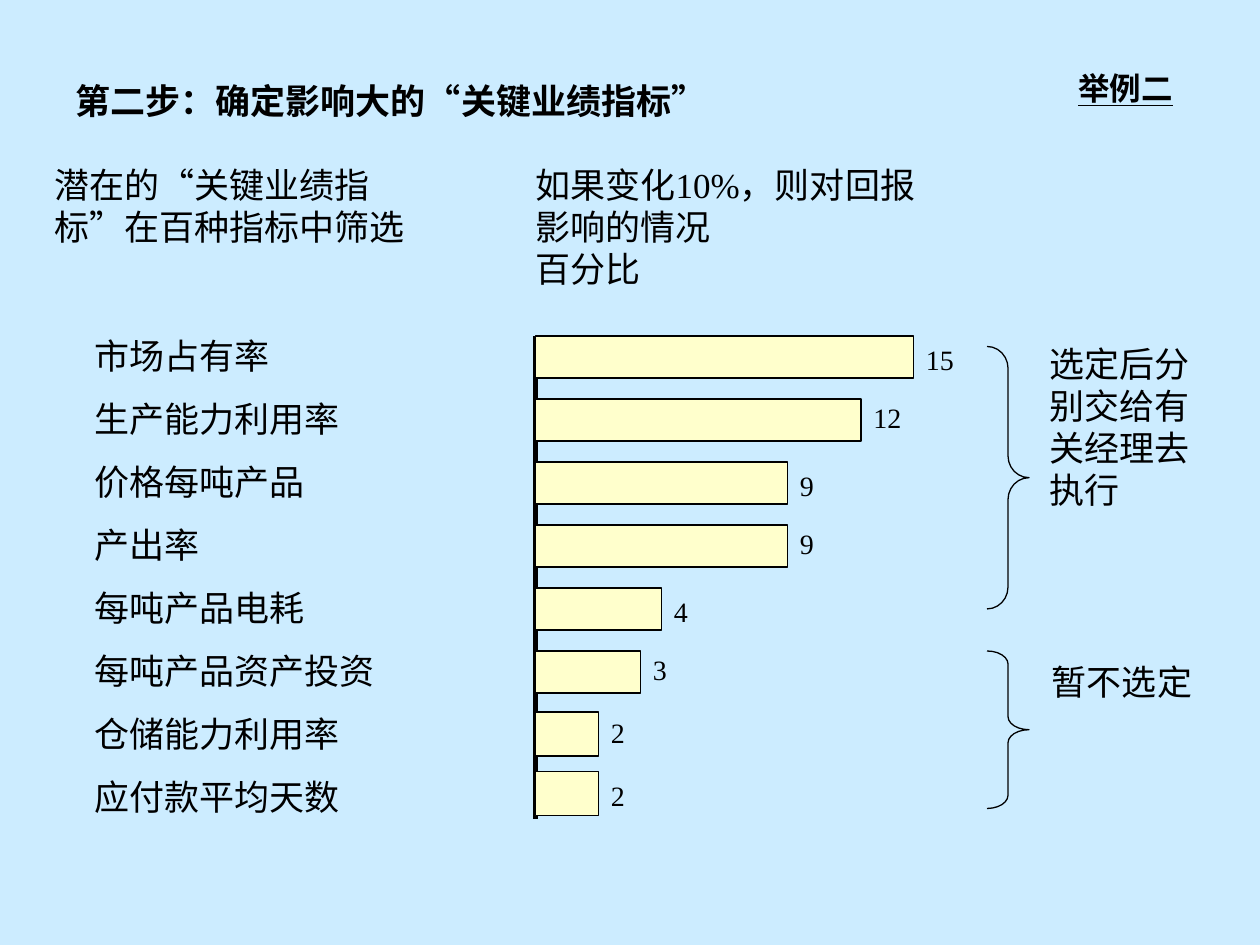
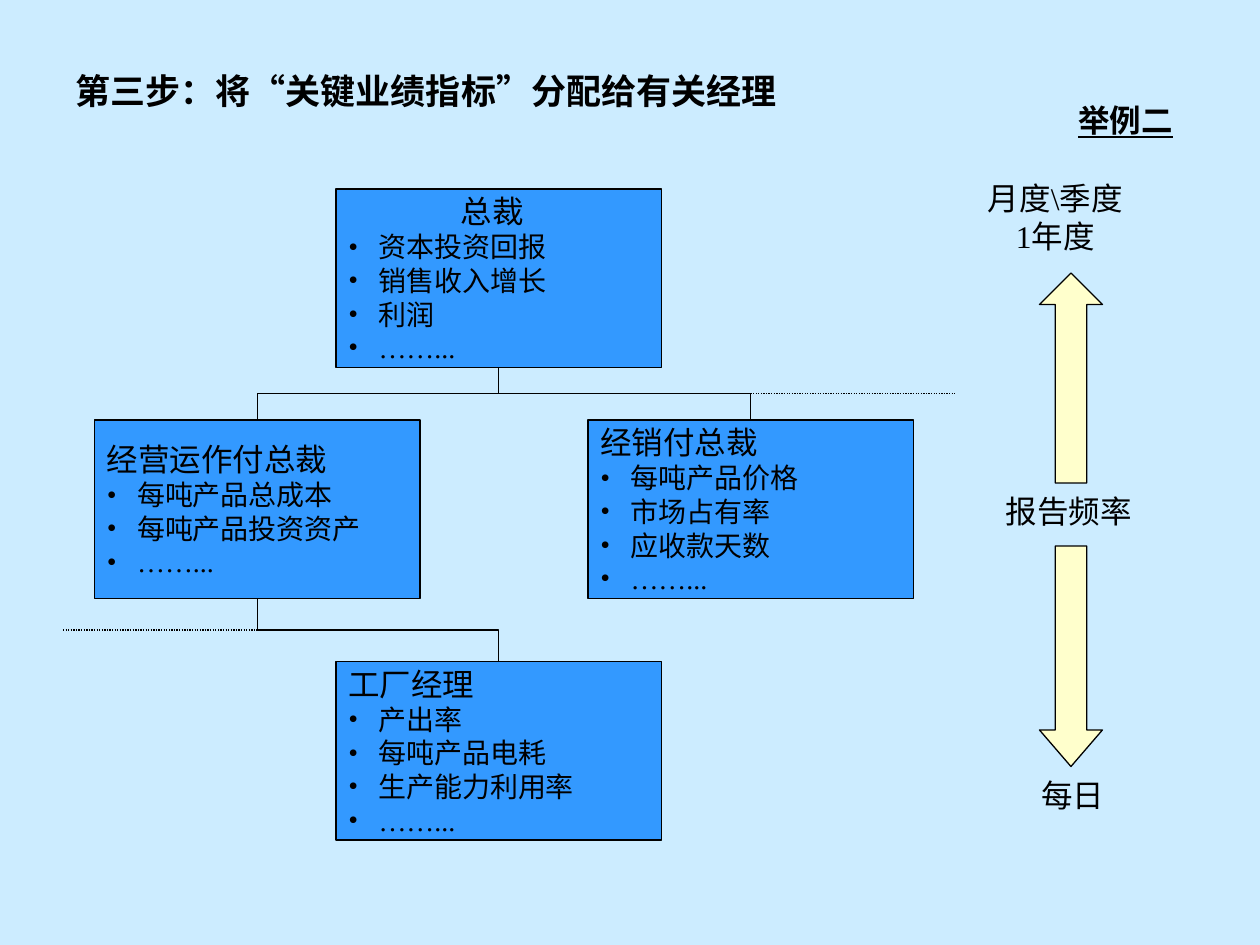
from dataclasses import dataclass

from lxml import etree
from pptx import Presentation
from pptx.dml.color import RGBColor
from pptx.enum.dml import MSO_LINE
from pptx.enum.lang import MSO_LANGUAGE_ID
from pptx.enum.shapes import MSO_CONNECTOR, MSO_SHAPE
from pptx.enum.text import MSO_ANCHOR, MSO_AUTO_SIZE, PP_ALIGN
from pptx.oxml.ns import qn
from pptx.util import Emu, Inches, Pt

RECTANGLE, BRACE = MSO_SHAPE.RECTANGLE, MSO_SHAPE.RIGHT_BRACE
UP_ARROW, DOWN_ARROW = MSO_SHAPE.UP_ARROW, MSO_SHAPE.DOWN_ARROW
STRAIGHT, ELBOW = MSO_CONNECTOR.STRAIGHT, MSO_CONNECTOR.ELBOW
DOTTED = MSO_LINE.ROUND_DOT
LEFT, CENTER = PP_ALIGN.LEFT, PP_ALIGN.CENTER
TOP, MIDDLE = MSO_ANCHOR.TOP, MSO_ANCHOR.MIDDLE
FIT_SHAPE, FIXED_SIZE = MSO_AUTO_SIZE.SHAPE_TO_FIT_TEXT, MSO_AUTO_SIZE.NONE
CHINESE = MSO_LANGUAGE_ID.SIMPLIFIED_CHINESE
BOTTOM_SITE, TOP_SITE = 2, 0

# Grid: 120 columns by 90 rows of square cells
SLIDE_WIDTH, SLIDE_HEIGHT = Inches(10), Inches(7.5)
CELL = SLIDE_WIDTH / 120


@dataclass(frozen=True)
class Theme:
    background: RGBColor = RGBColor(0xCC, 0xEC, 0xFF)
    ink: RGBColor = RGBColor(0, 0, 0)
    cream: RGBColor = RGBColor(0xFF, 0xFF, 0xCC)
    blue: RGBColor = RGBColor(0x33, 0x99, 0xFF)
    font: str = "Times New Roman"
    large: int = 20
    medium: int = 18
    small: int = 16
    thin: float = 0.75
    thick: float = 3


THEME = Theme()


@dataclass(frozen=True)
class Area:
    """Place on the grid, in columns and rows."""
    left: float
    top: float
    width: float
    height: float

    def lengths(self) -> list[Emu]:
        return [cells(n) for n in (self.left, self.top, self.width, self.height)]


@dataclass(frozen=True)
class Bar:
    name: str
    value: int
    top: float
    width: float
    height: float
    label_top: float


@dataclass(frozen=True)
class Role:
    title: str
    left: float
    top: float
    measures: tuple[str, ...]
    title_indent: float = 0


@dataclass(frozen=True)
class Note:
    text: str
    area: Area
    size: int = THEME.large
    align: PP_ALIGN = LEFT


def cells(count: float) -> Emu:
    return Emu(round(CELL * count))


# Shared drawing functions
def add_bullet(paragraph) -> None:
    properties = paragraph._p.get_or_add_pPr()
    properties.set("marL", str(Inches(0.24)))
    properties.set("indent", str(-Inches(0.24)))
    etree.SubElement(properties, qn("a:buFont")).set("typeface", THEME.font)
    etree.SubElement(properties, qn("a:buChar")).set("char", "•")


def write_text(shape, text: str, *, size: int = THEME.large, bold: bool = False,
               underline: bool = False, align: PP_ALIGN = LEFT, spacing: float = 1,
               anchor: MSO_ANCHOR = TOP, fit: MSO_AUTO_SIZE = FIT_SHAPE,
               bullet_size: int = 0, first_indent: float = 0) -> None:
    """Write one paragraph a line; bullet_size makes all but the first bullets."""
    frame = shape.text_frame
    frame.word_wrap, frame.auto_size, frame.vertical_anchor = True, fit, anchor
    for index, line in enumerate(text.split("\n")):
        paragraph = frame.add_paragraph() if index else frame.paragraphs[0]
        bulleted = bool(bullet_size and index)
        if bulleted:
            add_bullet(paragraph)
        elif first_indent:
            paragraph._p.get_or_add_pPr().set("marL", str(cells(first_indent)))
        paragraph.alignment = align
        paragraph.line_spacing = spacing
        run = paragraph.add_run()
        run.text = line
        font = run.font
        font.name, font.language_id = THEME.font, CHINESE
        font.size = Pt(bullet_size if bulleted else size)
        font.bold, font.underline = bold, underline
        font.color.rgb = THEME.ink


def add_text(slide, area: Area, text: str, **text_format) -> None:
    write_text(slide.shapes.add_textbox(*area.lengths()), text, **text_format)


def add_notes(slide, notes: tuple[Note, ...]) -> None:
    for note in notes:
        add_text(slide, note.area, note.text, size=note.size, align=note.align)


def add_figure(slide, kind: MSO_SHAPE, area: Area, fill: RGBColor | None = None,
               adjustments: tuple[float, ...] = ()):
    shape = slide.shapes.add_shape(kind, *area.lengths())
    shape.shadow.inherit = False
    if fill is None:
        shape.fill.background()
    else:
        shape.fill.solid()
        shape.fill.fore_color.rgb = fill
    shape.line.color.rgb = THEME.ink
    shape.line.width = Pt(THEME.thin)
    for index, value in enumerate(adjustments):
        shape.adjustments[index] = value
    return shape


def add_line(slide, start: tuple[float, float], end: tuple[float, float],
             kind: MSO_CONNECTOR = STRAIGHT, width: float = THEME.thin,
             dash: MSO_LINE | None = None):
    connector = slide.shapes.add_connector(kind, *map(cells, start + end))
    connector.line.color.rgb = THEME.ink
    connector.line.width = Pt(width)
    if dash is not None:
        connector.line.dash_style = dash
    etree.SubElement(connector._element.spPr, qn("a:effectLst"))
    return connector


def join_roles(slide, upper, lower) -> None:
    """Elbow that leaves the upper box downwards and enters the lower from above."""
    connector = add_line(slide, (0, 0), (1, 1), ELBOW)
    connector.begin_connect(upper, BOTTOM_SITE)
    connector.end_connect(lower, TOP_SITE)
    x1, y1 = upper.left + upper.width // 2, upper.top + upper.height
    x2, y2 = lower.left + lower.width // 2, lower.top
    width, height = y2 - y1, abs(x2 - x1)
    connector.left, connector.top = (x1 + x2 - width) // 2, (y1 + y2 - height) // 2
    connector.width, connector.height = width, height
    transform = connector._element.spPr.find(qn("a:xfrm"))
    goes_right = x2 > x1
    transform.set("rot", str((270 if goes_right else 90) * 60000))
    transform.set("flipH", "1" if goes_right else "0")
    transform.set("flipV", "0")


def new_slide(presentation, title: str, title_area: Area, tag_top: float):
    slide = presentation.slides.add_slide(presentation.slide_layouts[6])
    slide.background.fill.solid()
    slide.background.fill.fore_color.rgb = THEME.background
    add_text(slide, title_area, title, bold=True)
    add_text(slide, Area(101.5, tag_top, 12, 4.8), "举例二", size=THEME.medium,
             bold=True, underline=True)
    return slide


# Step two: effect of each indicator
AXIS = 51
BARS = (
    Bar("市场占有率", 15, 32, 36, 4, 32),
    Bar("生产能力利用率", 12, 38, 31, 4, 37.6),
    Bar("价格每吨产品", 9, 44, 24, 4, 44),
    Bar("产出率", 9, 50, 24, 4, 49.6),
    Bar("每吨产品电耗", 4, 56, 12, 4, 56),
    Bar("每吨产品资产投资", 3, 62, 10, 4, 61.6),
    Bar("仓储能力利用率", 2, 67.8, 6, 4.2, 67.6),
    Bar("应付款平均天数", 2, 73.5, 6, 4.2, 73.6),
)
INDICATOR_NOTES = (
    Note("潜在的“关键业绩指标”在百种指标中筛选", Area(4, 15, 41, 9.2)),
    Note("如果变化10%，则对回报影响的情况\n百分比", Area(49.8, 15, 40.2, 13.2)),
    Note("选定后分别交给有关经理去执行", Area(98.8, 32, 17.2, 17.3)),
    Note("暂不选定", Area(99, 62.3, 16.2, 5.3)),
)
BRACES = (Area(94, 33, 4, 25), Area(94, 62, 4, 15))


def build_indicators(presentation) -> None:
    slide = new_slide(presentation, "第二步：确定影响大的“关键业绩指标”",
                      Area(6, 7, 63, 5.3), 6)
    add_notes(slide, INDICATOR_NOTES)
    add_text(slide, Area(7.8, 29.3, 32, 49.2), "\n".join(bar.name for bar in BARS),
             spacing=1.5)
    add_line(slide, (AXIS, 32), (AXIS, 78), width=THEME.thick)
    for bar in BARS:
        add_figure(slide, RECTANGLE, Area(AXIS, bar.top, bar.width, bar.height), THEME.cream)
        add_text(slide, Area(AXIS + bar.width, bar.label_top, 6, 4.4), str(bar.value),
                 size=THEME.small)
    for area in BRACES:
        add_figure(slide, BRACE, area, adjustments=(area.height / 12 / area.width, 0.5))


# Step three: indicators handed to managers
MORE = "……..."
PRESIDENT = Role("总裁", 32, 18, ("资本投资回报", "销售收入增长", "利润", MORE), 10.7)
OPERATIONS = Role("经营运作付总裁", 9, 40, ("每吨产品总成本", "每吨产品投资资产", MORE))
SALES = Role("经销付总裁", 56, 40, ("每吨产品价格", "市场占有率", "应收款天数", MORE))
FACTORY = Role("工厂经理", 32, 63, ("产出率", "每吨产品电耗", "生产能力利用率", MORE))
REPORTING_LINES = ((PRESIDENT, SALES), (PRESIDENT, OPERATIONS), (OPERATIONS, FACTORY))
FREQUENCY_NOTES = (
    Note("月度\\季度\n1年度", Area(91.5, 16.5, 18, 8.4), THEME.medium, CENTER),
    Note("报告频率", Area(94.6, 46.3, 15, 4.8), THEME.medium),
    Note("每日", Area(98, 73.3, 9, 4.8), THEME.medium),
)


def add_role(slide, role: Role):
    box = add_figure(slide, RECTANGLE, Area(role.left, role.top, 31, 17), THEME.blue)
    write_text(box, "\n".join((role.title, *role.measures)), size=THEME.medium,
               bullet_size=THEME.small, first_indent=role.title_indent,
               anchor=MIDDLE, fit=FIXED_SIZE)
    return box


def build_managers(presentation) -> None:
    slide = new_slide(presentation, "第三步：将“关键业绩指标”分配给有关经理",
                      Area(6, 6, 74, 5.3), 9)
    boxes = {role: add_role(slide, role) for role in (PRESIDENT, OPERATIONS, SALES, FACTORY)}
    add_notes(slide, FREQUENCY_NOTES)
    add_figure(slide, UP_ARROW, Area(99, 26, 6, 20), THEME.cream, (0.5, 0.5))
    add_figure(slide, DOWN_ARROW, Area(99, 52, 6, 21), THEME.cream, (0.5, 0.58))
    for upper, lower in REPORTING_LINES:
        join_roles(slide, boxes[upper], boxes[lower])
    for left, row in ((70, 37.5), (6, 60)):
        add_line(slide, (left, row), (left + 21, row), dash=DOTTED)


def main() -> None:
    presentation = Presentation()
    presentation.slide_width, presentation.slide_height = SLIDE_WIDTH, SLIDE_HEIGHT
    build_indicators(presentation)
    build_managers(presentation)
    presentation.save("out.pptx")


if __name__ == "__main__":
    main()
